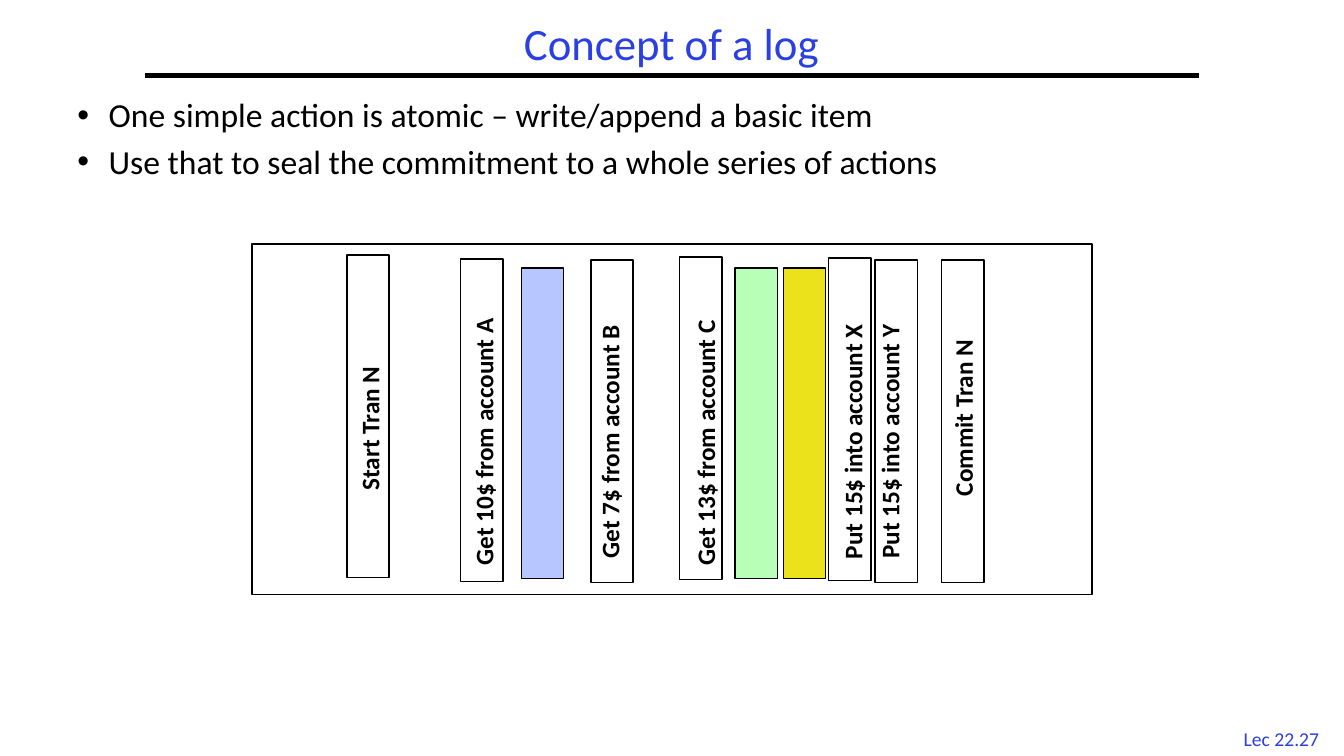
from lxml import etree
from pptx import Presentation, util as u
from pptx.dml.color import RGBColor
from pptx.enum import shapes, text
from pptx.oxml.ns import qn

BLACK, WHITE, BLUE = "000000", "FFFFFF", "2A40E2"
BAR_WIDTH, ENTRY_HEIGHT, OTHER_HEIGHT, LABEL_HEIGHT = 42, 320, 308, 40


def px(count):
    return u.Emu(count * 9144)


def color(value):
    return RGBColor.from_string(value)


class LogSlide:
    """Draws on one blank page, at 100 px to the inch, in one typeface."""

    font = "Calibri"

    def __init__(self, deck):
        self.page = deck.slides.add_slide(deck.slide_layouts[6])

    def bar(self, left, top, width, height, fill=None):
        box = self.page.shapes.add_shape(
            shapes.MSO_SHAPE.RECTANGLE, px(left), px(top), px(width), px(height))
        box.shadow.inherit = False
        if fill:
            box.fill.solid()
            box.fill.fore_color.rgb = color(fill)
        else:
            box.fill.background()
        box.line.color.rgb = color(BLACK)
        box.line.width = u.Pt(1)

    def rule(self, left, right, top):
        line = self.page.shapes.add_connector(
            shapes.MSO_CONNECTOR.STRAIGHT, px(left), px(top), px(right), px(top))
        line.line.color.rgb = color(BLACK)
        line.line.width = u.Pt(3)
        etree.SubElement(line._element.spPr, qn("a:effectLst"))

    def words(self, lines, left, top, width, height, size, ink=BLACK,
              bold=False, wrap=True, align=text.PP_ALIGN.LEFT, spacing=None,
              anchor=text.MSO_ANCHOR.TOP, bullet=None, turn=0):
        box = self.page.shapes.add_textbox(px(left), px(top), px(width), px(height))
        box.rotation = turn
        frame = box.text_frame
        frame.word_wrap = wrap
        frame.vertical_anchor = anchor
        if not wrap:
            frame.auto_size = text.MSO_AUTO_SIZE.SHAPE_TO_FIT_TEXT
        frame.text = "\n".join(lines)
        for index, para in enumerate(frame.paragraphs):
            para.alignment = align
            if spacing:
                para.line_spacing = spacing
            if index:
                para.space_before = u.Pt(7.2)
            if bullet:
                self.add_bullet(para, bullet)
            para.font.name = self.font
            para.font.size = u.Pt(size)
            para.font.bold = bold
            para.font.color.rgb = color(ink)

    def add_bullet(self, para, sign):
        props = para._p.get_or_add_pPr()
        props.set("marL", str(px(31)))
        props.set("indent", str(-px(31)))
        etree.SubElement(props, qn("a:buFont"), typeface="Arial")
        etree.SubElement(props, qn("a:buChar"), char=sign)

    def label(self, caption, center_x, center_y, length):
        self.words([caption], center_x - length // 2, center_y - LABEL_HEIGHT // 2,
                   length, LABEL_HEIGHT, 18, bold=True, wrap=False, turn=270)


def main():
    deck = Presentation()
    deck.slide_width, deck.slide_height = px(1333), px(750)
    slide = LogSlide(deck)
    center = text.PP_ALIGN.CENTER

    slide.words(["Lec 22.27"], 1217, 716, 108, 33, 14, BLUE, wrap=False, align=center)
    slide.rule(144, 1189, 75)
    slide.words(["Concept of a log"], 144, 17, 1044, 58, 32, BLUE, align=center,
                spacing=0.9, anchor=text.MSO_ANCHOR.MIDDLE)
    slide.words(["One simple action is atomic – write/append a basic item",
                 "Use that to seal the commitment to a whole series of actions"],
                67, 93, 1167, 150, 24, spacing=0.9, bullet="•")

    slide.bar(250, 242, 833, 348, WHITE)
    for left, fill in ((517, "B7C6FE"), (729, "B8FFB8"), (777, "ECE21C")):
        slide.bar(left, 266, BAR_WIDTH, OTHER_HEIGHT, fill)

    entries = (
        ("Start Tran N", 344, 253, 366, 415, 163),
        ("Get 10$ from account A", 457, 257, 479, 419, 303),
        ("Get 7$ from account B", 586, 258, 604, 419, 289),
        ("Get 13$ from account C", 674, 255, 699, 419, 303),
        ("Put 15$ into account X", 822, 256, 845, 419, 291),
        ("Put 15$ into account Y", 868, 258, 882, 419, 290),
        ("Commit Tran N", 934, 258, 955, 399, 206),
    )
    for caption, left, top, center_x, center_y, length in entries:
        slide.bar(left, top, BAR_WIDTH, ENTRY_HEIGHT)
        slide.label(caption, center_x, center_y, length)

    deck.save("out.pptx")


if __name__ == "__main__":
    main()
